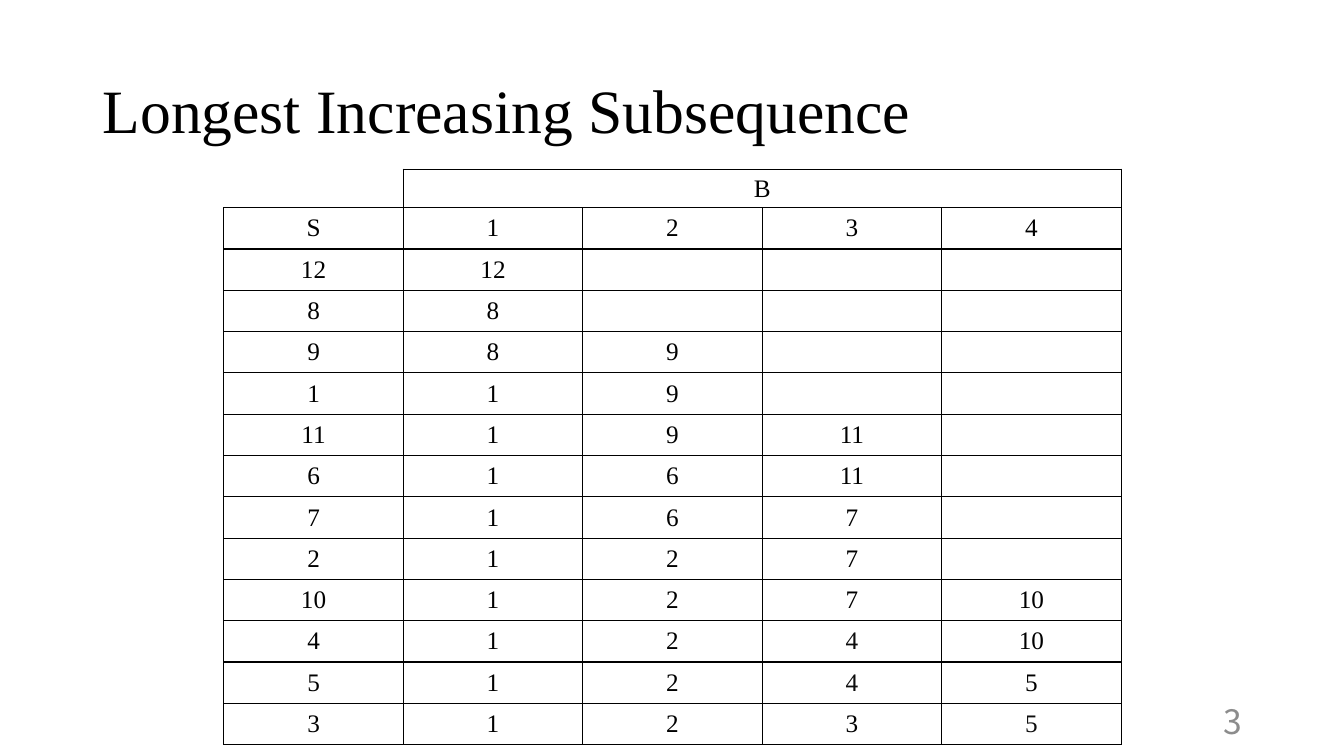
from dataclasses import dataclass

from lxml import etree
from pptx import Presentation
from pptx.dml.color import RGBColor
from pptx.enum.text import MSO_ANCHOR, PP_ALIGN
from pptx.oxml.ns import qn
from pptx.util import Inches, Pt

MIDDLE = MSO_ANCHOR.MIDDLE
LEFT, CENTER, RIGHT = PP_ALIGN.LEFT, PP_ALIGN.CENTER, PP_ALIGN.RIGHT
SERIF, SANS = "Times New Roman", "Noto Sans CJK JP"
BLACK, NEAR_BLACK, GRAY = "000000", "0D0D0D", "8C8C8C"

HEADER = ["S", "1", "2", "3", "4"]
# Each number of S, followed by the state of B after reading it
STEPS = [
    [12, 12],
    [8, 8],
    [9, 8, 9],
    [1, 1, 9],
    [11, 1, 9, 11],
    [6, 1, 6, 11],
    [7, 1, 6, 7],
    [2, 1, 2, 7],
    [10, 1, 2, 7, 10],
    [4, 1, 2, 4, 10],
    [5, 1, 2, 4, 5],
    [3, 1, 2, 3, 5],
]
NEAR_BLACK_CELLS = {(11, 3), (12, 3), (13, 4)}
COLUMN_WIDTH, TOP_ROW_HEIGHT, ROW_HEIGHT = 1.78, 0.38, 0.41


@dataclass
class Label:
    text: str
    left: float
    top: float
    width: float
    height: float
    size: float
    font: str
    color: str
    align: PP_ALIGN
    spacing: float = 1.0


LABELS = [
    Label("Longest Increasing Subsequence", 0.92, 0.4, 11.5, 1.45,
          44, SERIF, BLACK, LEFT, 0.9),
    Label("3", 9.42, 6.95, 3, 0.4, 24, SANS, GRAY, RIGHT),
]


def rgb(color: str) -> RGBColor:
    return RGBColor.from_string(color)


def apply(target, values: dict) -> None:
    for name, value in values.items():
        setattr(target, name, value)


def write(para, text: str, size: float, font: str, color: str, align: PP_ALIGN) -> None:
    para.alignment = align
    span = para.add_run()
    span.text = text
    apply(span.font, {"size": Pt(size), "name": font})
    span.font.color.rgb = rgb(color)


def add_label(page, label: Label) -> None:
    box = page.shapes.add_textbox(Inches(label.left), Inches(label.top),
                                  Inches(label.width), Inches(label.height))
    apply(box.text_frame, {"word_wrap": True, "vertical_anchor": MIDDLE})
    para = box.text_frame.paragraphs[0]
    para.line_spacing = label.spacing
    write(para, label.text, label.size, label.font, label.color, label.align)


def set_borders(cell, drawn: str) -> None:
    """Draw the sides named in drawn (L, R, T, B) and clear the others."""
    properties = cell._tc.get_or_add_tcPr()
    for side in "LRTB":
        line = etree.SubElement(properties, qn(f"a:ln{side}"), w=str(Pt(1)))
        if side in drawn:
            fill = etree.SubElement(line, qn("a:solidFill"))
            etree.SubElement(fill, qn("a:srgbClr"), val=BLACK)
        else:
            etree.SubElement(line, qn("a:noFill"))


def add_steps_table(page) -> None:
    rows = [["", "B"], HEADER] + [[str(value) for value in step] for step in STEPS]
    columns = len(HEADER)
    height = TOP_ROW_HEIGHT + ROW_HEIGHT * (len(rows) - 1)
    frame = page.shapes.add_table(len(rows), columns, Inches(2.22), Inches(1.68),
                                  Inches(COLUMN_WIDTH * columns), Inches(height))
    table = frame.table
    apply(table, {"first_row": False, "horz_banding": False})
    for column in table.columns:
        column.width = Inches(COLUMN_WIDTH)

    for r, values in enumerate(rows):
        table.rows[r].height = Inches(ROW_HEIGHT if r else TOP_ROW_HEIGHT)
        for c in range(columns):
            cell = table.cell(r, c)
            apply(cell, {"vertical_anchor": MIDDLE,
                         "margin_top": Inches(0.03), "margin_bottom": Inches(0.03)})
            set_borders(cell, "LRTB" if r or c else "RB")
            cell.fill.background()
            if c < len(values) and values[c]:
                color = NEAR_BLACK if (r, c) in NEAR_BLACK_CELLS else BLACK
                write(cell.text_frame.paragraphs[0], values[c], 18, SERIF, color, CENTER)

    # B heads all four of its columns
    table.cell(0, 1).merge(table.cell(0, columns - 1))


def main() -> None:
    deck = Presentation()
    apply(deck, {"slide_width": Inches(13.33), "slide_height": Inches(7.5)})
    page = deck.slides.add_slide(deck.slide_layouts[6])
    for label in LABELS:
        add_label(page, label)
    add_steps_table(page)
    deck.save("out.pptx")


if __name__ == "__main__":
    main()
